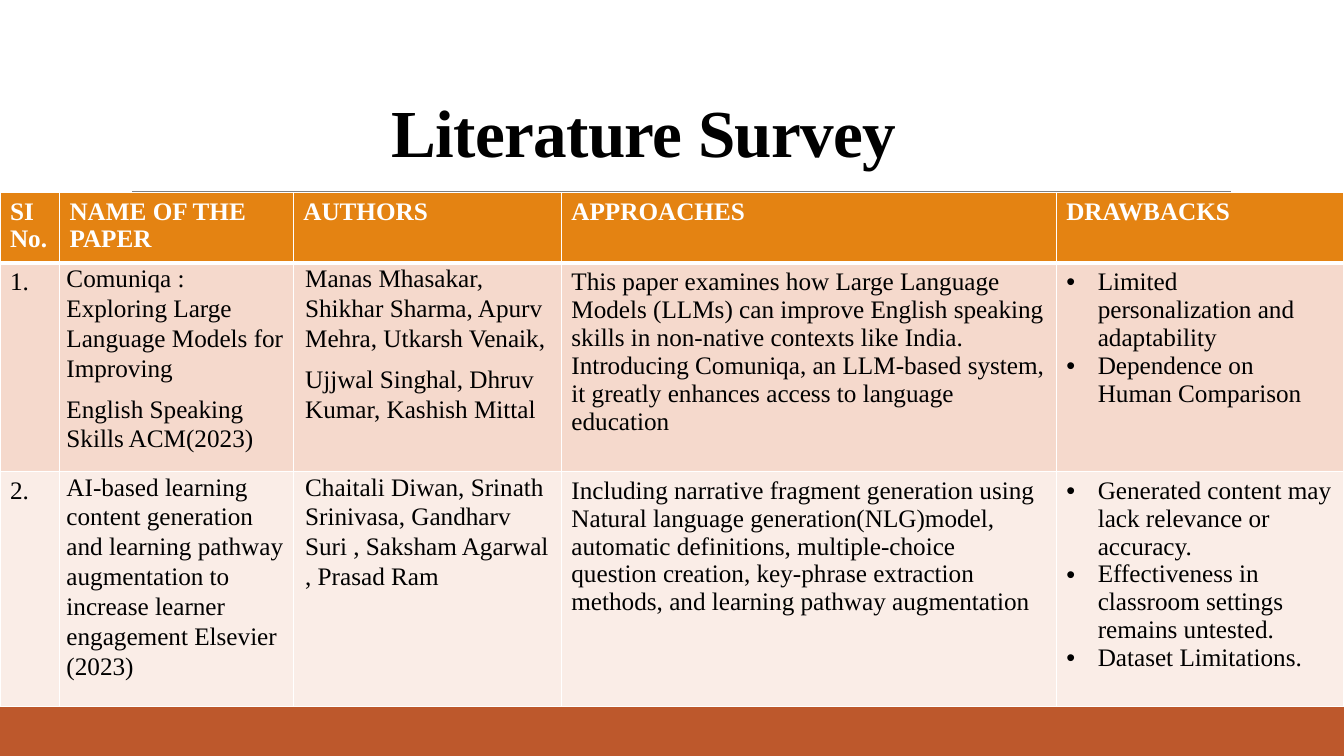
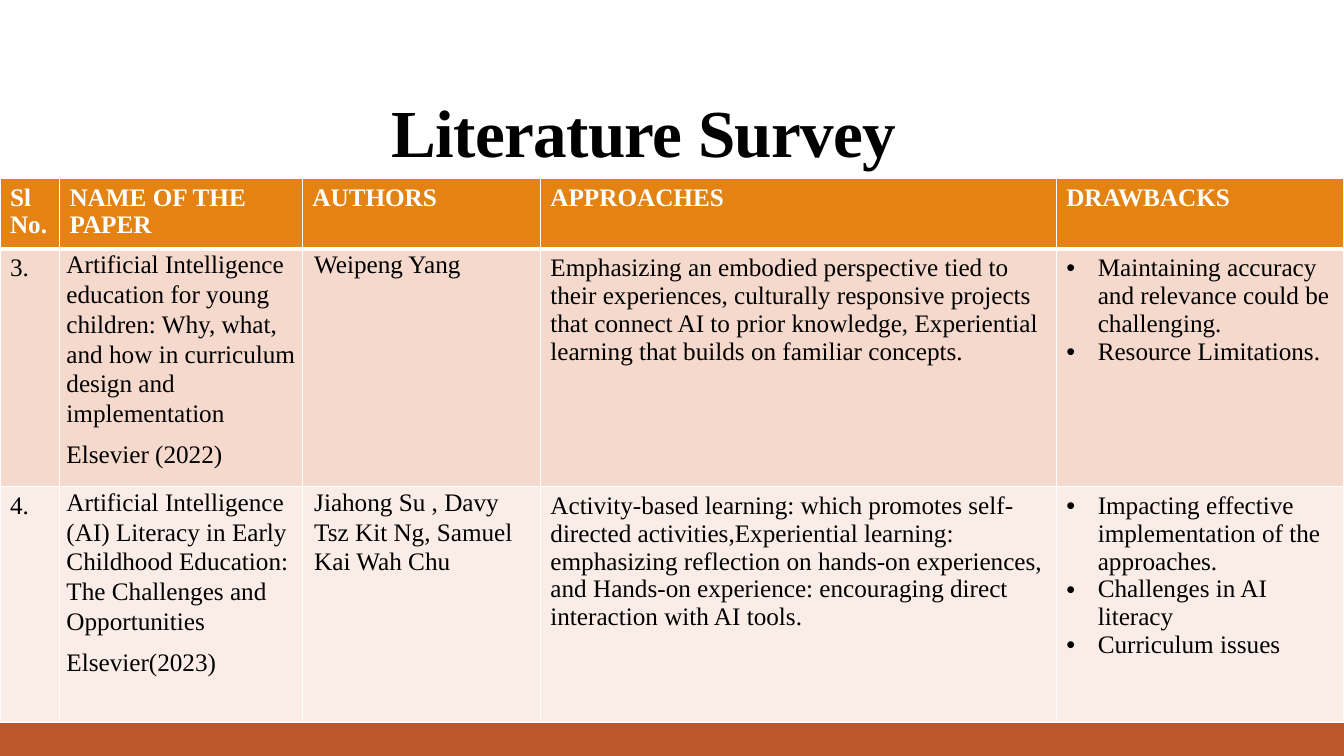
from dataclasses import dataclass

from lxml.etree import SubElement
from pptx import Presentation
from pptx.dml.color import RGBColor
from pptx.enum.shapes import MSO_CONNECTOR, MSO_SHAPE
from pptx.enum.text import MSO_ANCHOR, PP_ALIGN
from pptx.oxml.ns import qn
from pptx.slide import Slide
from pptx.table import _Cell
from pptx.text.text import _Paragraph
from pptx.util import Pt

# Shared look
FONT = "Times New Roman"
WHITE, BLACK, GREY = "FFFFFF", "000000", "808080"
ORANGE, RUST = "E48312", "BD582C"
ROW_FILLS = ["F5D9CC", "FAEDE7"]
WIDTH, HEIGHT = 960, 540
TITLE = "Literature Survey"
HEADINGS = ["NAME OF THE PAPER", "AUTHORS", "APPROACHES", "DRAWBACKS"]


@dataclass
class Band:
    top: float
    height: float
    color: str


@dataclass
class ColumnStyle:
    side_inset: float = 7.2
    top_inset: float = 3.6
    line_spacing: float = 1.0
    space_after: float = 0
    bulleted: bool = False


@dataclass
class Paper:
    number: str
    name: list[str]
    authors: list[str]
    approaches: list[str]
    drawbacks: list[str]


@dataclass
class Survey:
    top: float
    column_widths: list[float]
    row_heights: list[float]
    number_heading: list[str]
    papers: list[Paper]


BANDS = [Band(504, 36, RUST), Band(499, 5, ORANGE)]
PLAIN = ColumnStyle()
COLUMN_STYLES = [
    PLAIN,
    ColumnStyle(5, 0, 1.07, 8),
    ColumnStyle(8.5, 0, 1.07, 8),
    PLAIN,
    ColumnStyle(bulleted=True),
]

# Slide content
SURVEYS = [
    Survey(
        137.5, [42.5, 167, 191.5, 353.5, 205.5], [46, 149, 168], ["SI", "No."],
        [
            Paper(
                "1.",
                ["Comuniqa : Exploring Large Language Models for Improving",
                 "English Speaking Skills ACM(2023)"],
                ["Manas Mhasakar, Shikhar Sharma, Apurv Mehra, Utkarsh Venaik,",
                 "Ujjwal Singhal, Dhruv Kumar, Kashish Mittal"],
                ["This paper examines how Large Language Models (LLMs) can improve "
                 "English speaking skills in non-native contexts like India. "
                 "Introducing Comuniqa, an LLM-based system, it greatly enhances "
                 "access to language education"],
                ["Limited personalization and adaptability",
                 "Dependence on Human Comparison"],
            ),
            Paper(
                "2.",
                ["AI-based learning content generation and learning pathway "
                 "augmentation to increase learner engagement Elsevier (2023)"],
                ["Chaitali Diwan, Srinath Srinivasa, Gandharv Suri , "
                 "Saksham Agarwal , Prasad Ram"],
                ["Including narrative fragment generation using Natural language "
                 "generation(NLG)model,",
                 "automatic definitions, multiple-choice question creation, "
                 "key-phrase extraction methods, and learning pathway augmentation"],
                ["Generated content may lack relevance or accuracy.",
                 "Effectiveness in classroom settings remains untested.",
                 "Dataset Limitations."],
            ),
        ],
    ),
    Survey(
        127.5, [42.5, 173.5, 170, 368.5, 205.5], [46, 157, 168], ["Sl", "No."],
        [
            Paper(
                "3.",
                ["Artificial Intelligence education for young children: Why, what, "
                 "and how in curriculum design and implementation",
                 "Elsevier (2022)"],
                ["Weipeng Yang"],
                ["Emphasizing an embodied perspective tied to their experiences, "
                 "culturally responsive projects that connect AI to prior knowledge, "
                 "Experiential learning that builds on familiar concepts."],
                ["Maintaining accuracy and relevance could be challenging.",
                 "Resource Limitations."],
            ),
            Paper(
                "4.",
                ["Artificial Intelligence (AI) Literacy in Early Childhood "
                 "Education: The Challenges and Opportunities",
                 "Elsevier(2023)"],
                ["Jiahong Su , Davy Tsz Kit Ng, Samuel Kai Wah Chu"],
                ["Activity-based learning: which promotes self-directed "
                 "activities,Experiential learning: emphasizing reflection on "
                 "hands-on experiences, and Hands-on experience: encouraging direct "
                 "interaction with AI tools."],
                ["Impacting effective implementation of the approaches.",
                 "Challenges in AI literacy",
                 "Curriculum issues"],
            ),
        ],
    ),
]


def rgb(color: str) -> RGBColor:
    return RGBColor.from_string(color)


def format_spans(para: _Paragraph, size: float, color: str, bold: bool) -> None:
    for span in para.runs:
        span.font.name = FONT
        span.font.size = Pt(size)
        span.font.bold = bold
        span.font.color.rgb = rgb(color)


def add_bullet(para: _Paragraph) -> None:
    properties = para._p.get_or_add_pPr()
    properties.set("marL", str(Pt(22.5)))
    properties.set("indent", str(-Pt(22.5)))
    SubElement(properties, qn("a:buFont")).set("typeface", "Arial")
    SubElement(properties, qn("a:buChar")).set("char", "•")


def add_borders(cell: _Cell, top: float, bottom: float) -> None:
    properties = cell._tc.get_or_add_tcPr()
    for side, width in (("L", 1), ("R", 1), ("T", top), ("B", bottom)):
        line = SubElement(properties, qn(f"a:ln{side}"))
        line.set("w", str(Pt(width)))
        fill = SubElement(line, qn("a:solidFill"))
        SubElement(fill, qn("a:srgbClr")).set("val", WHITE)


def fill_cell(cell: _Cell, lines: list[str], style: ColumnStyle,
              fill: str, color: str, bold: bool) -> None:
    cell.fill.solid()
    cell.fill.fore_color.rgb = rgb(fill)
    cell.margin_left = cell.margin_right = Pt(style.side_inset)
    cell.margin_top = cell.margin_bottom = Pt(style.top_inset)
    cell.text_frame.text = "\n".join(lines)
    for para in cell.text_frame.paragraphs:
        if style.bulleted:
            add_bullet(para)
        para.line_spacing = style.line_spacing
        para.space_after = Pt(style.space_after)
        format_spans(para, 18, color, bold)


def add_frame(page: Slide) -> None:
    # Footer bands
    for band in BANDS:
        bar = page.shapes.add_shape(MSO_SHAPE.RECTANGLE, Pt(0), Pt(band.top),
                                    Pt(WIDTH), Pt(band.height))
        bar.shadow.inherit = False
        bar.fill.solid()
        bar.fill.fore_color.rgb = rgb(band.color)
        bar.line.fill.background()

    # Rule under the title
    rule = page.shapes.add_connector(MSO_CONNECTOR.STRAIGHT, Pt(94.5), Pt(136.5),
                                     Pt(879), Pt(136.5))
    rule.line.color.rgb = rgb(GREY)
    rule.line.width = Pt(0.5)
    SubElement(rule._element.spPr, qn("a:effectLst"))

    # Title
    box = page.shapes.add_textbox(Pt(64), Pt(11.5), Pt(792), Pt(114.5))
    box.text_frame.word_wrap = True
    box.text_frame.vertical_anchor = MSO_ANCHOR.BOTTOM
    box.text_frame.text = TITLE
    para = box.text_frame.paragraphs[0]
    para.alignment = PP_ALIGN.CENTER
    para.line_spacing = 0.85
    format_spans(para, 48, BLACK, True)
    para.runs[0].font._element.set("spc", "-50")


def add_survey(page: Slide, survey: Survey) -> None:
    frame = page.shapes.add_table(
        len(survey.row_heights), len(survey.column_widths), Pt(0), Pt(survey.top),
        Pt(WIDTH), Pt(sum(survey.row_heights)))
    table = frame.table
    table.horz_banding = False
    for column, width in zip(table.columns, survey.column_widths):
        column.width = Pt(width)
    for row, height in zip(table.rows, survey.row_heights):
        row.height = Pt(height)

    # Heading row
    headings = [survey.number_heading, *([heading] for heading in HEADINGS)]
    for cell, lines in zip(table.rows[0].cells, headings):
        add_borders(cell, 1, 3)
        fill_cell(cell, lines, PLAIN, ORANGE, WHITE, True)

    # One row per paper
    for index, paper in enumerate(survey.papers):
        entries = [[paper.number], paper.name, paper.authors,
                   paper.approaches, paper.drawbacks]
        cells = table.rows[index + 1].cells
        for cell, lines, style in zip(cells, entries, COLUMN_STYLES):
            add_borders(cell, 3 if index == 0 else 1, 1)
            fill_cell(cell, lines, style, ROW_FILLS[index], BLACK, False)


def main() -> None:
    deck = Presentation()
    deck.slide_width, deck.slide_height = Pt(WIDTH), Pt(HEIGHT)
    for survey in SURVEYS:
        page = deck.slides.add_slide(deck.slide_layouts[6])
        add_frame(page)
        add_survey(page, survey)
    deck.save("out.pptx")


if __name__ == "__main__":
    main()
